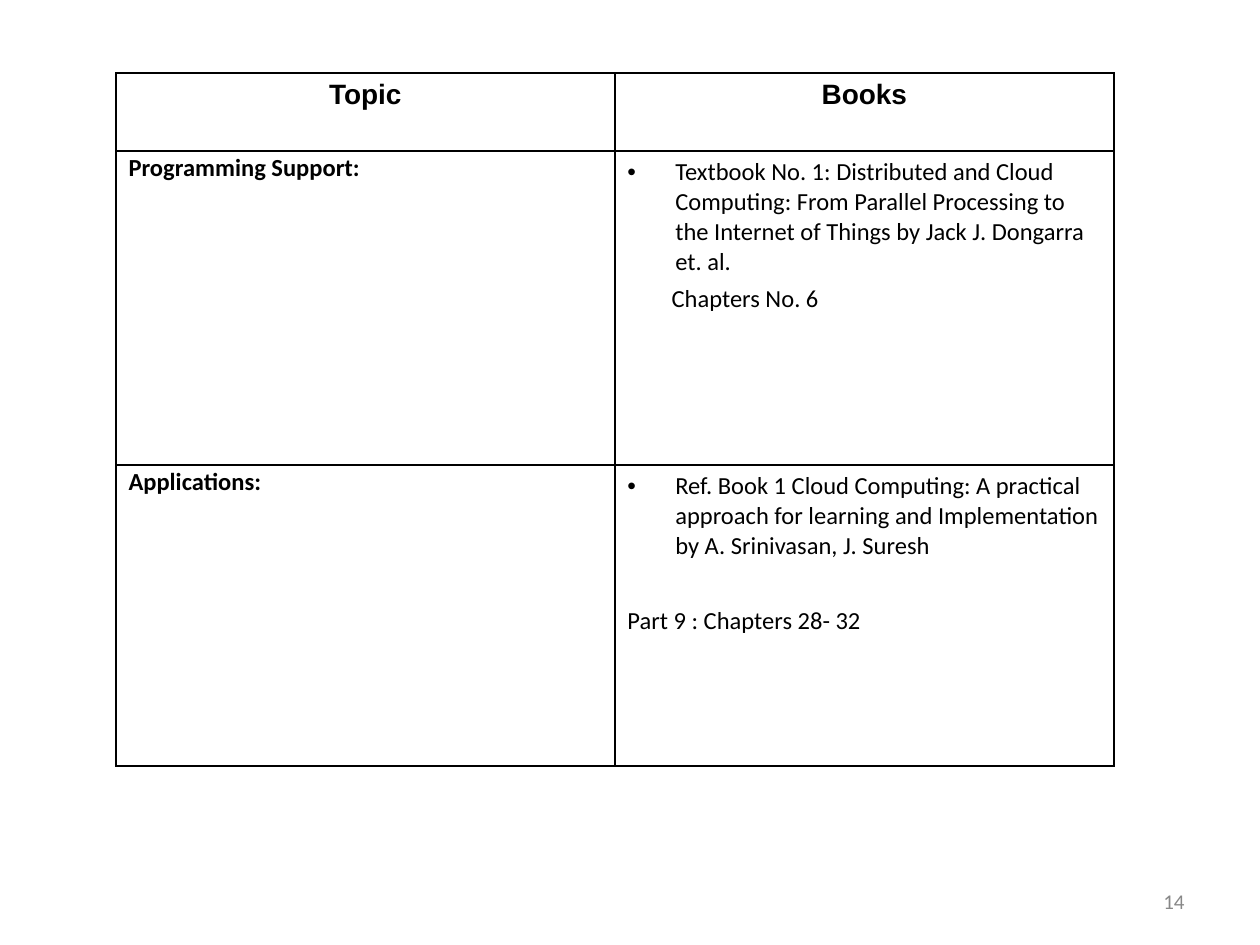
"""Build a slide listing the books that cover each topic."""
from dataclasses import dataclass

import lxml.etree
import pptx
import pptx.dml.color
import pptx.enum.text
import pptx.oxml.ns
import pptx.util

ALIGN = pptx.enum.text.PP_ALIGN
WIDTH, HEIGHT = 10, 7.5
BLACK, WHITE, GREY = "000000", "FFFFFF", "888888"
HANGING = 0.38


@dataclass
class Line:
    text: str
    bullet: bool = False
    indent: float = 0
    space_before: float = 4.4


@dataclass
class Entry:
    topic: str
    books: list[Line]
    height: float


HEADINGS = ("Topic", "Books")
HEADING_HEIGHT = 0.62
ENTRIES = [
    Entry("Programming Support:", [
        Line("Textbook No. 1: Distributed and Cloud Computing: From Parallel Processing to "
             "the Internet of Things by Jack J. Dongarra et. al.", bullet=True, indent=HANGING),
        Line("Chapters No. 6", indent=0.35),
    ], 2.49),
    Entry("Applications:", [
        Line("Ref. Book 1 Cloud Computing: A practical approach for learning and "
             "Implementation by A. Srinivasan, J. Suresh", bullet=True, indent=HANGING),
        Line("Part 9 : Chapters 28- 32", space_before=26),
    ], 2.39),
]


def colour(value: str) -> pptx.dml.color.RGBColor:
    return pptx.dml.color.RGBColor.from_string(value)


def add_element(parent, tag: str, **attributes: str):
    element = lxml.etree.SubElement(parent, pptx.oxml.ns.qn(tag))
    for name, value in attributes.items():
        element.set(name, value)
    return element


def write_line(frame, line: Line, *, size=14, font="Calibri", fill=BLACK,
               bold=False, align=ALIGN.LEFT, spacing=None) -> None:
    paragraph = frame.paragraphs[0]
    if paragraph.runs:
        paragraph = frame.add_paragraph()
    paragraph.alignment = align
    paragraph.line_spacing = spacing
    paragraph.space_before = pptx.util.Pt(line.space_before)
    properties = paragraph._p.get_or_add_pPr()
    properties.set("marL", str(pptx.util.Inches(line.indent)))
    properties.set("indent", str(pptx.util.Inches(-HANGING if line.bullet else 0)))
    if line.bullet:
        add_element(properties, "a:buFont", typeface="Arial")
        add_element(properties, "a:buChar", char="•")
    run = paragraph.add_run()
    run.text = line.text
    run.font.size = pptx.util.Pt(size)
    run.font.name = font
    run.font.bold = bold
    run.font.color.rgb = colour(fill)


def style_cell(cell) -> None:
    properties = cell._tc.get_or_add_tcPr()
    for side in ("a:lnL", "a:lnR", "a:lnT", "a:lnB"):
        border = add_element(properties, side, w=str(pptx.util.Pt(1)))
        add_element(add_element(border, "a:solidFill"), "a:srgbClr", val=BLACK)
    cell.fill.solid()
    cell.fill.fore_color.rgb = colour(WHITE)


def add_book_table(slide) -> None:
    heights = [HEADING_HEIGHT] + [entry.height for entry in ENTRIES]
    shape = slide.shapes.add_table(
        len(heights), len(HEADINGS), pptx.util.Inches(0.92), pptx.util.Inches(0.58),
        pptx.util.Inches(7.92), pptx.util.Inches(sum(heights)))
    table = shape.table
    table.first_row = table.horz_banding = False
    for row, height in zip(table.rows, heights):
        row.height = pptx.util.Inches(height)
    for cell in table.iter_cells():
        style_cell(cell)
    for column, heading in enumerate(HEADINGS):
        write_line(table.cell(0, column).text_frame, Line(heading, space_before=0),
                   size=16, font="Arial", bold=True, align=ALIGN.CENTER)
    for row, entry in enumerate(ENTRIES, start=1):
        write_line(table.cell(row, 0).text_frame, Line(entry.topic, space_before=0),
                   bold=True, align=ALIGN.JUSTIFY, spacing=0.8)
        for line in entry.books:
            write_line(table.cell(row, 1).text_frame, line)


def add_page_number(slide, number: str) -> None:
    box = slide.shapes.add_textbox(*map(pptx.util.Inches, (7.17, 6.95, 2.33, 0.4)))
    frame = box.text_frame
    frame.word_wrap = True
    frame.vertical_anchor = pptx.enum.text.MSO_ANCHOR.MIDDLE
    write_line(frame, Line(number, space_before=0), size=12, fill=GREY, align=ALIGN.RIGHT)


def main() -> None:
    presentation = pptx.Presentation()
    presentation.slide_width = pptx.util.Inches(WIDTH)
    presentation.slide_height = pptx.util.Inches(HEIGHT)
    slide = presentation.slides.add_slide(presentation.slide_layouts[6])
    add_page_number(slide, "14")
    add_book_table(slide)
    presentation.save("out.pptx")


if __name__ == "__main__":
    main()
